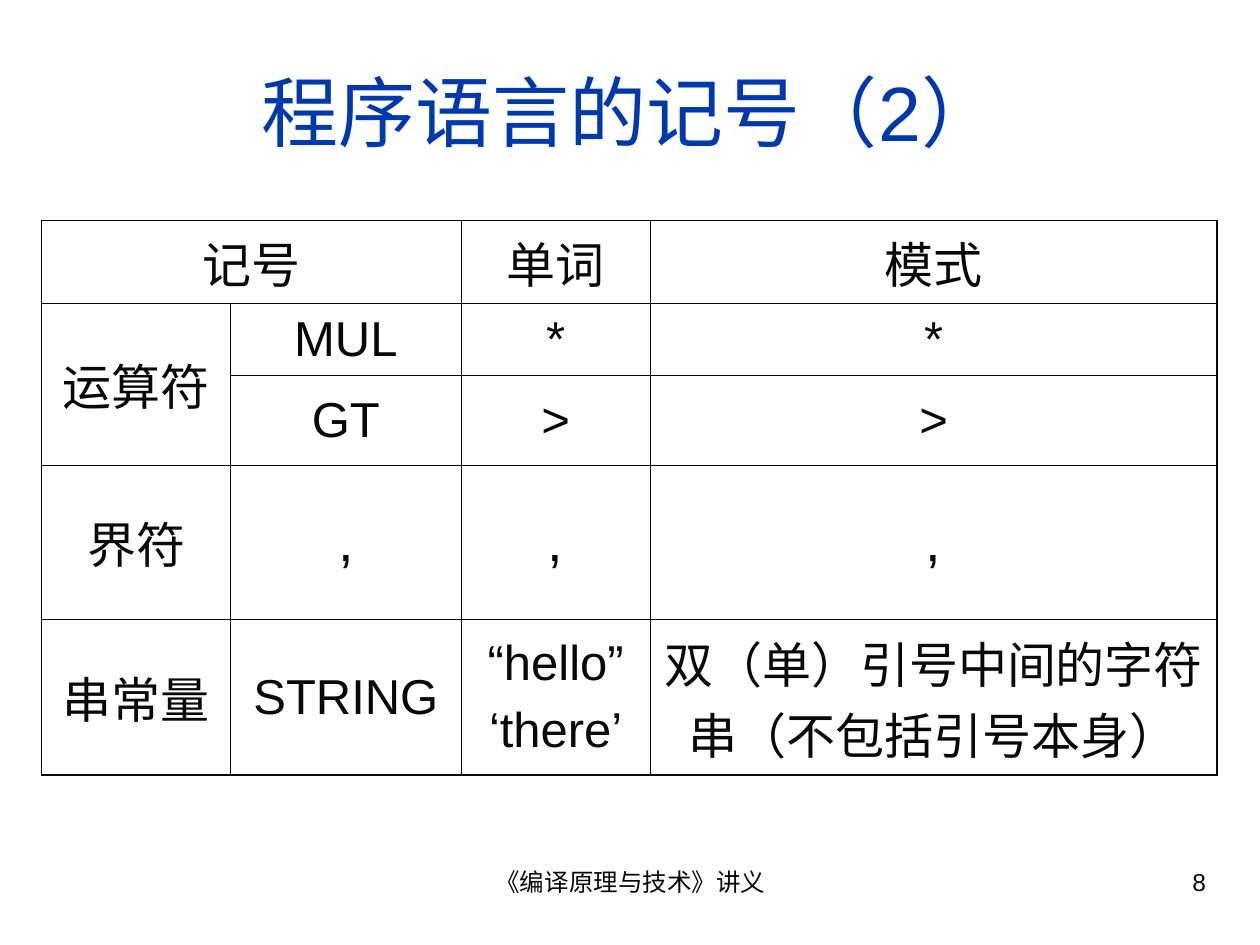
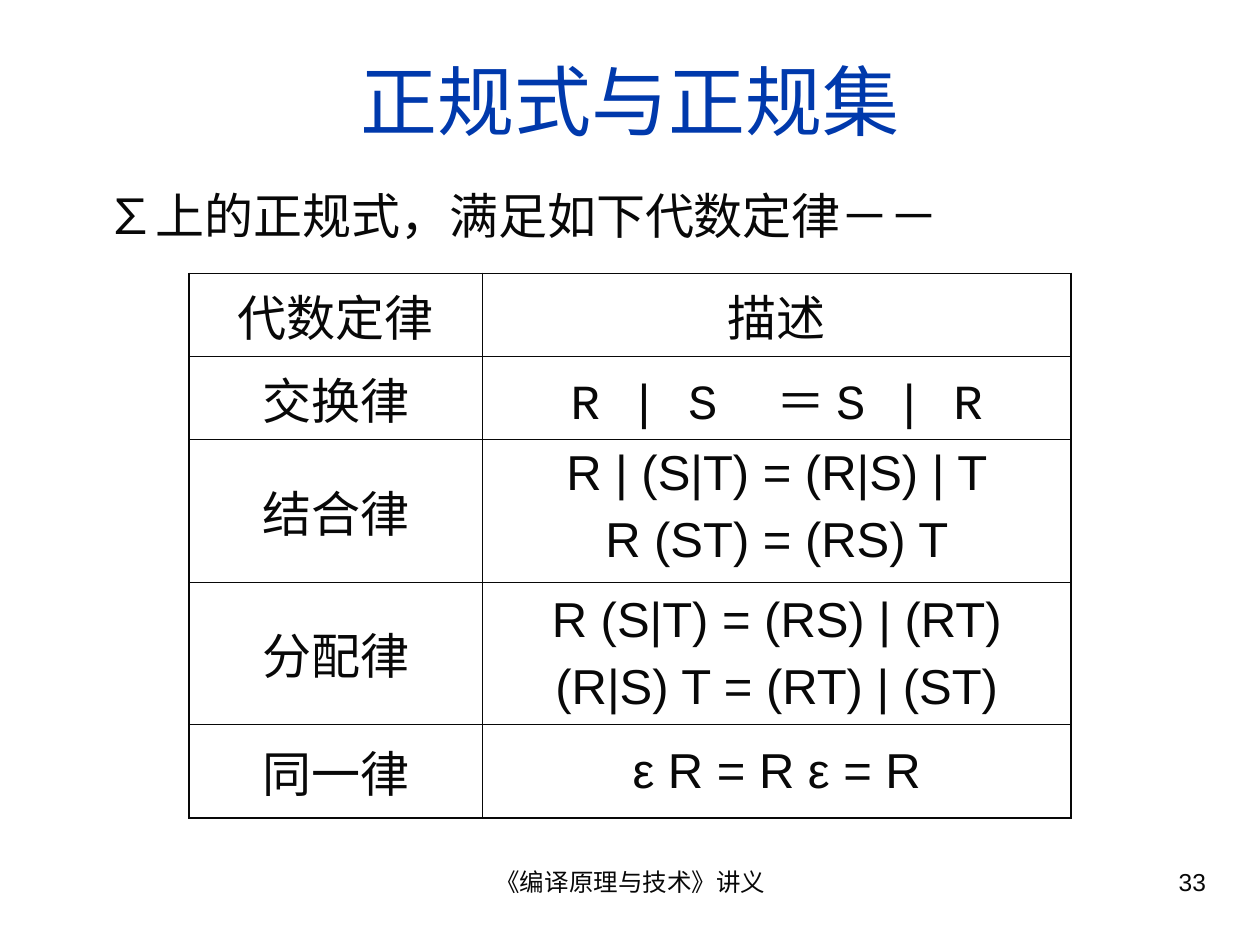
"""Build two lecture slides on language tokens and the laws of regular expressions."""
from lxml import etree
from pptx import Presentation, util as u
from pptx.dml.color import RGBColor
from pptx.enum import text as t
from pptx.oxml import ns

COLORS = {"title": "0039AC", "ink": "080808"}
LATIN, MONO, HAN = "Arial", "Courier New", "Noto Sans CJK SC"
FOOTER = "《编译原理与技术》讲义"
MID, LEFT, RIGHT = t.PP_ALIGN.CENTER, t.PP_ALIGN.LEFT, t.PP_ALIGN.RIGHT
THIN, THICK = 0.45, 1.08

SLIDES = [
    dict(
        title="程序语言的记号（2）", top=0.25, page="8", lead=None,
        place=(0.33, 1.75), cols=[1.5, 1.83, 1.5, 4.5],
        rows=[0.66, 0.57, 0.71, 1.23, 1.23],
        merges=[(0, 0, 0, 1), (1, 0, 2, 0)],
        cells=[
            ["记号", "", "单词", "模式"],
            ["运算符", "MUL", "*", "*"],
            ["", "GT", ">", ">"],
            ["界符", ",", ",", ","],
            ["串常量", "STRING", "“hello”\n‘there’",
             "双（单）引号中间的字符串（不包括引号本身）"],
        ],
        sizes={",": 32}, fonts={}, high=[],
    ),
    dict(
        title="正规式与正规集", top=0.17, page="33",
        lead="∑上的正规式，满足如下代数定律－－",
        place=(1.5, 2.17), cols=[2.33, 4.67],
        rows=[0.66, 0.66, 1.13, 1.13, 0.74], merges=[],
        cells=[
            ["代数定律", "描述"],
            ["交换律", "R | S  ＝ S | R"],
            ["结合律", "R | (S|T) = (R|S) | T\nR (ST) = (RS) T"],
            ["分配律", "R (S|T) = (RS) | (RT)\n(R|S) T = (RT) | (ST)"],
            ["同一律", "ε R = R ε = R"],
        ],
        sizes={}, fonts={(1, 1): MONO}, high=[(2, 1)],
    ),
]


def style(frame, size, color="ink", align=MID, before=0, font=LATIN):
    for para in frame.paragraphs:
        para.alignment = align
        para.space_before = u.Pt(before)
        for run in para.runs:
            run.font.size = u.Pt(size)
            run.font.bold = False
            run.font.color.rgb = RGBColor.from_string(COLORS[color])
            run.font.name = font
            latin = run.font._element.find(ns.qn("a:latin"))
            east = etree.Element(ns.qn("a:ea"), typeface=HAN)
            latin.addnext(east)


def border(cell, widths):
    props = cell._tc.get_or_add_tcPr()
    for spot, (side, width) in enumerate(widths.items()):
        line = etree.Element(ns.qn("a:ln" + side), w=str(u.Pt(width)))
        fill = etree.SubElement(line, ns.qn("a:solidFill"))
        etree.SubElement(fill, ns.qn("a:srgbClr"), val=COLORS["ink"])
        props.insert(spot, line)


deck = Presentation()
deck.slide_width, deck.slide_height = u.Inches(10), u.Inches(7.5)

for data in SLIDES:
    slide = deck.slides.add_slide(deck.slide_layouts[5])
    title = slide.shapes.title
    title.left, title.top = u.Inches(0.33), u.Inches(data["top"])
    title.width, title.height = u.Inches(9.34), u.Inches(1.25)
    title.text_frame.text = data["title"]
    title.text_frame.auto_size = t.MSO_AUTO_SIZE.NONE
    title.text_frame.vertical_anchor = t.MSO_ANCHOR.MIDDLE
    style(title.text_frame, 44, "title")

    notes = [
        (FOOTER, (3.42, 6.83, 3.17, 0.52), 14, MID, 0),
        (data["page"], (7.17, 6.83, 2.5, 0.52), 14, RIGHT, 0),
    ]
    if data["lead"]:
        notes.append((data["lead"], (0.75, 1.42, 8.5, 0.57), 28, LEFT, 7))
    for words, place, size, align, before in notes:
        frame = slide.shapes.add_textbox(*map(u.Inches, place)).text_frame
        frame.word_wrap = True
        frame.text = words
        style(frame, size, align=align, before=before)

    rows, cols = data["rows"], data["cols"]
    area = (*data["place"], sum(cols), sum(rows))
    table = slide.shapes.add_table(
        len(rows), len(cols), *map(u.Inches, area)).table
    table.first_row = table.horz_banding = False
    for row, height in zip(table.rows, rows):
        row.height = u.Inches(height)
    for col, width in zip(table.columns, cols):
        col.width = u.Inches(width)
    for top, left, bottom, right in data["merges"]:
        table.cell(top, left).merge(table.cell(bottom, right))

    for r, line in enumerate(data["cells"]):
        for c, words in enumerate(line):
            cell = table.cell(r, c)
            cell.fill.background()
            if cell.is_spanned:
                continue
            cell.text_frame.text = words
            high = (r, c) in data["high"]
            cell.vertical_anchor = (
                t.MSO_ANCHOR.TOP if high else t.MSO_ANCHOR.MIDDLE)
            size = data["sizes"].get(words, 28)
            style(cell.text_frame, size, before=size // 4,
                  font=data["fonts"].get((r, c), LATIN))
            edges = {"L": c == 0, "R": c + cell.span_width == len(cols),
                     "T": r == 0, "B": r + cell.span_height == len(rows)}
            border(cell, {side: THICK if outer else THIN
                          for side, outer in edges.items()})

deck.save("out.pptx")
